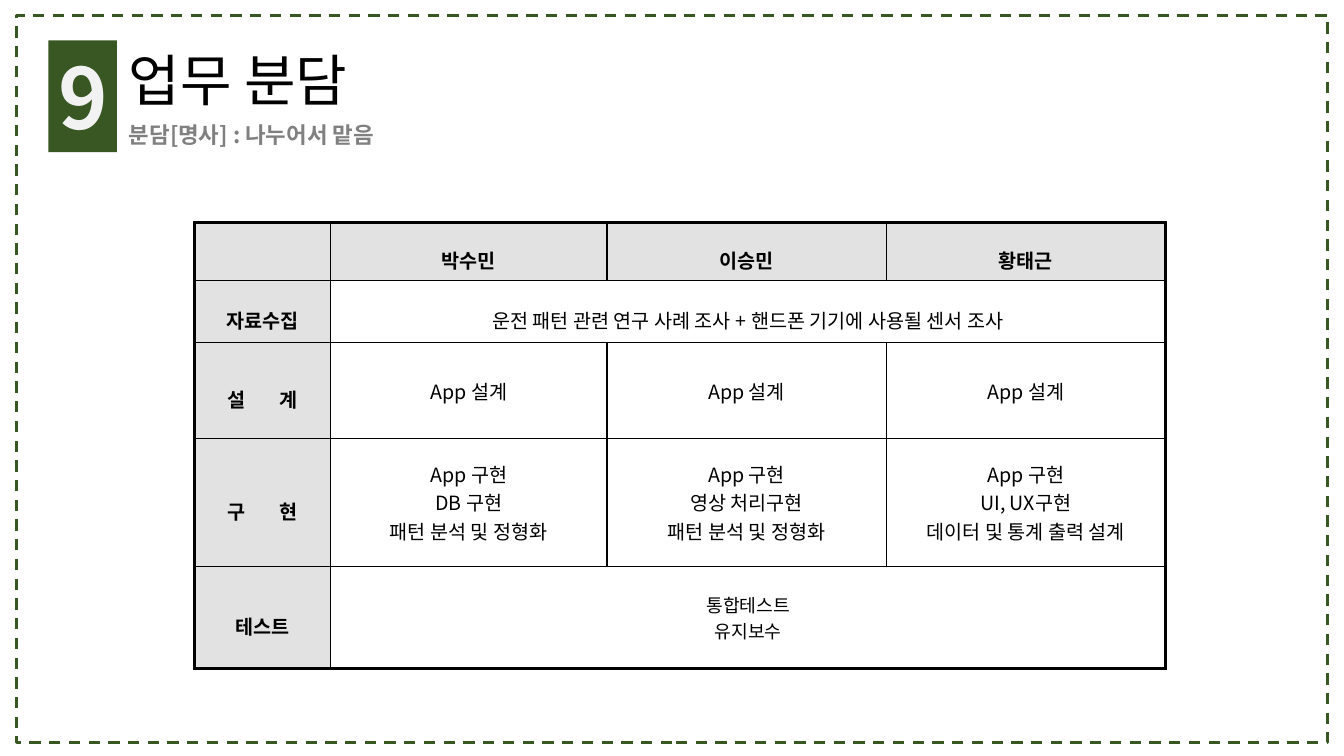
from dataclasses import dataclass

from lxml import etree
from pptx import Presentation
from pptx.dml.color import RGBColor
from pptx.enum.dml import MSO_LINE
from pptx.enum.shapes import MSO_SHAPE
from pptx.enum.text import MSO_ANCHOR, MSO_AUTO_SIZE, PP_ALIGN
from pptx.oxml.ns import qn
from pptx.util import Inches, Pt

RECT = MSO_SHAPE.RECTANGLE
DASH = MSO_LINE.DASH
MIDDLE = MSO_ANCHOR.MIDDLE
CENTER = PP_ALIGN.CENTER
GROW = MSO_AUTO_SIZE.SHAPE_TO_FIT_TEXT

GREEN = RGBColor(0x38, 0x57, 0x23)
PALE = RGBColor(0xF2, 0xF2, 0xF2)
GRAY = RGBColor(0x80, 0x80, 0x80)
HEAD = RGBColor(0xD0, 0xCE, 0xCE)
BLACK = RGBColor(0, 0, 0)
FONT = "Noto Sans CJK KR"
THIN, THICK = 1, 2.25
WIDE_GAP = 2100  # hundredths of a point added to the space in a spread label

COLS = [1.35, 2.74, 2.77, 2.77]
ROWS = [0.57, 0.62, 0.95, 1.27, 1.01]


@dataclass
class Label:
    text: str
    box: tuple[float, float, float, float]
    size: float
    color: RGBColor
    bold: bool = False
    wrap: bool = False
    fill: RGBColor | None = None


@dataclass
class Task:
    name: str
    cells: list[str]
    size: float = 14
    space: float = 1
    spread: bool = False


LABELS = [
    Label("9", (0.48, 0.4, 0.68, 1.11), 60, PALE, bold=True, fill=GREEN),
    Label("업무 분담", (1.18, 0.4, 2.63, 0.77), 40, BLACK),
    Label("분담[명사] : 나누어서 맡음", (1.18, 1.15, 7.55, 0.37), 16, GRAY,
          bold=True, wrap=True),
]

# A task with a single cell stretches it over all three people.
TASKS = [
    Task("", ["박수민", "이승민", "황태근"], space=1.6),
    Task("자료수집", ["운전 패턴 관련 연구 사례 조사 + 핸드폰 기기에 사용될 센서 조사"],
         space=1.6),
    Task("설 계", ["App 설계"] * 3, spread=True),
    Task("구 현", ["App 구현\nDB 구현\n패턴 분석 및 정형화",
                 "App 구현\n영상 처리구현\n패턴 분석 및 정형화",
                 "App 구현\nUI, UX구현\n데이터 및 통계 출력 설계"], spread=True),
    Task("테스트", ["통합테스트\n유지보수"], size=13),
]


def add_run(para, text: str, size: float, color: RGBColor, bold: bool):
    run = para.add_run()
    run.text = text
    form = {"name": FONT, "size": Pt(size), "bold": bold}
    for key, value in form.items():
        setattr(run.font, key, value)
    run.font.color.rgb = color
    props = run.font._element
    etree.SubElement(props, qn("a:ea")).set("typeface", FONT)
    return props


def add_label(slide, label: Label) -> None:
    box = [Inches(n) for n in label.box]
    if label.fill is None:
        shape = slide.shapes.add_textbox(*box)
    else:
        shape = slide.shapes.add_shape(RECT, *box)
        shape.shadow.inherit = False
        shape.fill.solid()
        shape.fill.fore_color.rgb = label.fill
        shape.line.fill.background()
    frame = shape.text_frame
    form = {"word_wrap": label.wrap, "auto_size": GROW,
            "vertical_anchor": MSO_ANCHOR.TOP}
    for key, value in form.items():
        setattr(frame, key, value)
    para = frame.paragraphs[0]
    para.alignment = PP_ALIGN.LEFT
    add_run(para, label.text, label.size, label.color, label.bold)


def add_frame(slide) -> None:
    """Draw the dashed border around the slide."""
    box = [Inches(n) for n in (0.16, 0.15, 13.01, 7.22)]
    shape = slide.shapes.add_shape(RECT, *box)
    shape.shadow.inherit = False
    shape.fill.background()
    shape.line.color.rgb = GREEN
    shape.line.width = Pt(2)
    shape.line.dash_style = DASH


def set_edges(cell, widths: dict[str, float]) -> None:
    """Give each side its line; call before any fill is set."""
    props = cell._tc.get_or_add_tcPr()
    for side, width in widths.items():
        line = etree.SubElement(props, qn(f"a:ln{side}"), w=str(Pt(width)))
        fill = etree.SubElement(line, qn("a:solidFill"))
        etree.SubElement(fill, qn("a:srgbClr"), val=str(BLACK))


def fill_cell(cell, shaded: bool) -> None:
    if not shaded:
        cell.fill.background()
        return
    cell.fill.solid()
    cell.fill.fore_color.rgb = HEAD
    color = cell._tc.tcPr.find(qn("a:solidFill"))[0]
    etree.SubElement(color, qn("a:alpha"), val="59000")


def write_cell(cell, text: str, size: float, space: float, bold: bool,
               spread: bool = False) -> None:
    cell.vertical_anchor = MIDDLE
    frame = cell.text_frame
    for i, line in enumerate(text.split("\n")):
        para = frame.add_paragraph() if i else frame.paragraphs[0]
        para.alignment = CENTER
        para.line_spacing = space
        for part in (line if spread else [line]):
            props = add_run(para, part, size, BLACK, bold)
            if part == " ":
                props.set("spc", str(WIDE_GAP))


def add_tasks(slide) -> None:
    shape = slide.shapes.add_table(
        len(ROWS), len(COLS), Inches(1.93), Inches(2.21),
        Inches(sum(COLS)), Inches(sum(ROWS)))
    table = shape.table
    for col, width in zip(table.columns, COLS):
        col.width = Inches(width)
    for row, height in zip(table.rows, ROWS):
        row.height = Inches(height)
    last_row, last_col = len(ROWS) - 1, len(COLS) - 1
    for r, task in enumerate(TASKS):
        if len(task.cells) == 1:
            table.cell(r, 1).merge(table.cell(r, last_col))
        for c in range(len(COLS)):
            cell = table.cell(r, c)
            right = c == last_col or cell.is_merge_origin
            outer = {"L": c == 0, "R": right, "T": r == 0, "B": r == last_row}
            set_edges(cell, {side: THICK if edge else THIN
                             for side, edge in outer.items()})
            fill_cell(cell, r == 0 or c == 0)
        if task.name:
            write_cell(table.cell(r, 0), task.name, 14, 1.6, True, task.spread)
        for c, text in enumerate(task.cells, 1):
            write_cell(table.cell(r, c), text, task.size, task.space, r == 0)


def main() -> None:
    deck = Presentation()
    deck.slide_width, deck.slide_height = Inches(13.33), Inches(7.5)
    slide = deck.slides.add_slide(deck.slide_layouts[6])
    add_frame(slide)
    badge, *titles = LABELS
    add_label(slide, badge)
    add_tasks(slide)
    for title in titles:
        add_label(slide, title)
    deck.save("out.pptx")


if __name__ == "__main__":
    main()
